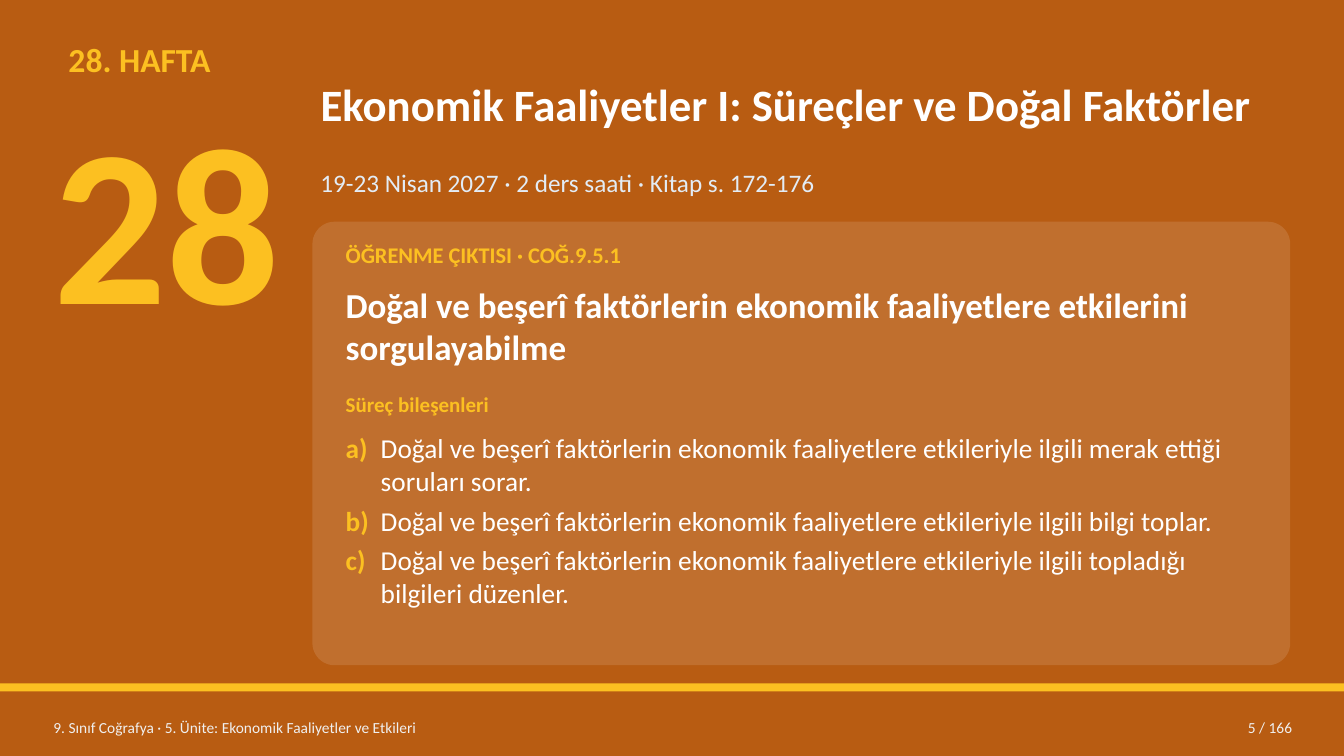
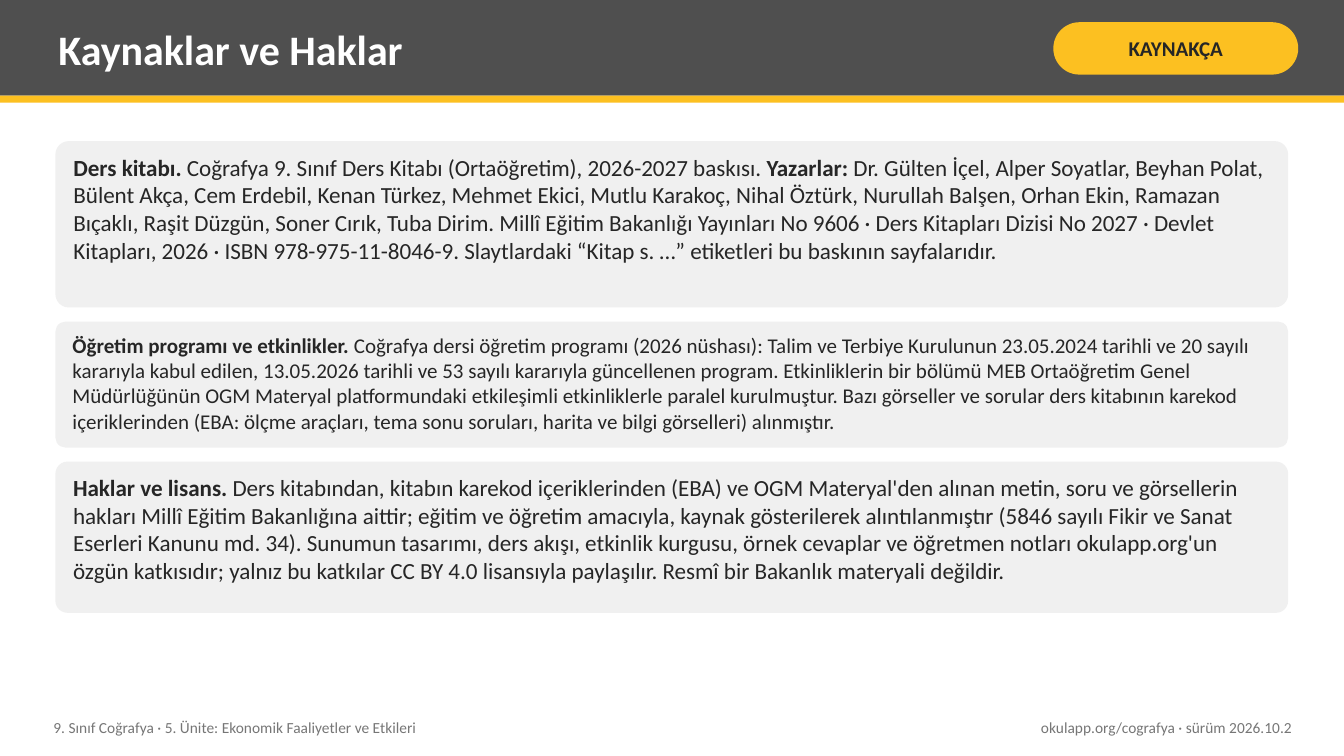
from lxml import etree
from pptx import Presentation
from pptx.dml.color import RGBColor
from pptx.enum.shapes import MSO_SHAPE
from pptx.enum.text import MSO_ANCHOR, MSO_AUTO_SIZE, PP_ALIGN
from pptx.oxml.ns import qn
from pptx.util import Pt

RECT, ROUNDED = MSO_SHAPE.RECTANGLE, MSO_SHAPE.ROUNDED_RECTANGLE
TOP, MIDDLE = MSO_ANCHOR.TOP, MSO_ANCHOR.MIDDLE
LEFT, CENTER, RIGHT = PP_ALIGN.LEFT, PP_ALIGN.CENTER, PP_ALIGN.RIGHT

FONT = "Calibri"
ORANGE, YELLOW, WHITE = "B85C12", "FCC021", "FFFFFF"
CHARCOAL, INK, PALE, MUTED, ICE = "4F4F4F", "262626", "F0F0F0", "767676", "E3ECF5"
WIDTH, HEIGHT = 960, 540
TEXT_INSET = (5.76, 2.88)


def panel(slide, kind, box, fill, corner=None):
    shape = slide.shapes.add_shape(kind, *map(Pt, box))
    shape.shadow.inherit = False
    shape.fill.solid()
    shape.fill.fore_color.rgb = RGBColor.from_string(fill)
    shape.line.fill.background()
    if corner is not None:
        shape.adjustments[0] = corner
    return shape


def write(shape, paragraphs, size, box=None, anchor=TOP, align=LEFT, inset=TEXT_INSET):
    """Fill a shape with paragraphs of (text, colour, bold) runs; a box also moves it to the front."""
    if box:
        shape.left, shape.top, shape.width, shape.height = map(Pt, box)
        shape.element.getparent().append(shape.element)
    frame = shape.text_frame
    frame.word_wrap = True
    frame.auto_size = MSO_AUTO_SIZE.NONE
    frame.vertical_anchor = anchor
    frame.margin_left = frame.margin_right = Pt(inset[0])
    frame.margin_top = frame.margin_bottom = Pt(inset[1])
    for index, runs in enumerate(paragraphs):
        paragraph = frame.add_paragraph() if index else frame.paragraphs[0]
        paragraph.alignment = align
        for text, colour, bold in runs:
            run = paragraph.add_run()
            run.text = text
            run.font.name = FONT
            run.font.size = Pt(size)
            run.font.bold = bold
            run.font.color.rgb = RGBColor.from_string(colour)
    return frame


prs = Presentation()
prs.slide_width, prs.slide_height = Pt(WIDTH), Pt(HEIGHT)

# Week opener
week = prs.slides.add_slide(prs.slide_layouts[1])
week.background.fill.solid()
week.background.fill.fore_color.rgb = RGBColor.from_string(ORANGE)
panel(week, RECT, (0, 488.16, WIDTH, 5.76), YELLOW)
outcome_card = panel(week, ROUNDED, (223.2, 158.4, 698.4, 316.8), WHITE, 0.05)
card_colour = outcome_card.element.spPr.find(qn("a:solidFill")).find(qn("a:srgbClr"))
etree.SubElement(card_colour, qn("a:alpha"), val="12000")

write(week.shapes.title,
      [[("Ekonomik Faaliyetler I: Süreçler ve Doğal Faktörler", WHITE, True)]],
      32, (223.2, 32.4, 698.4, 82.8), MIDDLE)

CARD_X, CARD_W = 241.2, 662.4
for text, size, colour, bold, box, inset in (
    ("28. HAFTA", 24, YELLOW, True, (43.2, 25.2, 187.2, 39.6), TEXT_INSET),
    ("28", 160, YELLOW, True, (32.4, 57.6, 187.2, 198), (5.76, 0)),
    ("19-23 Nisan 2027 · 2 ders saati · Kitap s. 172-176", 18, ICE, False,
     (223.2, 116.64, 698.4, 32.4), TEXT_INSET),
    ("ÖĞRENME ÇIKTISI · COĞ.9.5.1", 16, YELLOW, True,
     (CARD_X, 169.2, CARD_W, 28.8), TEXT_INSET),
    ("Doğal ve beşerî faktörlerin ekonomik faaliyetlere etkilerini sorgulayabilme",
     25, WHITE, True, (CARD_X, 199.44, CARD_W, 68.4), TEXT_INSET),
    ("Süreç bileşenleri", 15, YELLOW, True, (CARD_X, 276.48, CARD_W, 27.36), TEXT_INSET),
):
    write(week.shapes.add_textbox(*map(Pt, box)), [[(text, colour, bold)]], size, inset=inset)

process_steps = (
    ("a)", "merak ettiği soruları sorar."),
    ("b)", "bilgi toplar."),
    ("c)", "topladığı bilgileri düzenler."),
)
STEP_START = "Doğal ve beşerî faktörlerin ekonomik faaliyetlere etkileriyle ilgili "
steps = write(week.placeholders[1],
              [[(letter + "\t", YELLOW, True), (STEP_START + ending, WHITE, False)]
               for letter, ending in process_steps],
              19.5, (CARD_X, 305.28, CARD_W, 160.56))
for step in steps.paragraphs:
    step.space_before = Pt(0)
    step.space_after = Pt(4.9)
    properties = step._p.get_or_add_pPr()
    properties.set("marL", str(Pt(25)))
    properties.set("indent", str(-Pt(25)))
    etree.SubElement(properties, qn("a:buNone"))

# Sources and rights
sources = prs.slides.add_slide(prs.slide_layouts[5])
panel(sources, RECT, (0, 0, WIDTH, 68.4), CHARCOAL)
panel(sources, RECT, (0, 68.4, WIDTH, 5.04), YELLOW)
write(sources.shapes.title, [[("Kaynaklar ve Haklar", WHITE, True)]],
      30, (36, 5.04, 702, 59.04), MIDDLE)
write(panel(sources, ROUNDED, (752.4, 15.84, 174.96, 37.44), YELLOW, 0.5),
      [[("KAYNAKÇA", INK, True)]], 15, anchor=MIDDLE, align=CENTER, inset=(3.6, 1.44))

source_notes = (
    (118.8, 16.5, (
        ("Ders kitabı.", True),
        (" Coğrafya 9. Sınıf Ders Kitabı (Ortaöğretim), 2026-2027 baskısı. ", False),
        ("Yazarlar:", True),
        (" Dr. Gülten İçel, Alper Soyatlar, Beyhan Polat, Bülent Akça, Cem Erdebil, "
         "Kenan Türkez, Mehmet Ekici, Mutlu Karakoç, Nihal Öztürk, Nurullah Balşen, "
         "Orhan Ekin, Ramazan Bıçaklı, Raşit Düzgün, Soner Cırık, Tuba Dirim. "
         "Millî Eğitim Bakanlığı Yayınları No 9606 · Ders Kitapları Dizisi No 2027 · "
         "Devlet Kitapları, 2026 · ISBN 978-975-11-8046-9. Slaytlardaki “Kitap s. …” "
         "etiketleri bu baskının sayfalarıdır.", False))),
    (90, 15, (
        ("Öğretim programı ve etkinlikler.", True),
        (" Coğrafya dersi öğretim programı (2026 nüshası): Talim ve Terbiye Kurulunun "
         "23.05.2024 tarihli ve 20 sayılı kararıyla kabul edilen, 13.05.2026 tarihli ve "
         "53 sayılı kararıyla güncellenen program. Etkinliklerin bir bölümü MEB "
         "Ortaöğretim Genel Müdürlüğünün OGM Materyal platformundaki etkileşimli "
         "etkinliklerle paralel kurulmuştur. Bazı görseller ve sorular ders kitabının "
         "karekod içeriklerinden (EBA: ölçme araçları, tema sonu soruları, harita ve "
         "bilgi görselleri) alınmıştır.", False))),
    (108, 16.5, (
        ("Haklar ve lisans.", True),
        (" Ders kitabından, kitabın karekod içeriklerinden (EBA) ve OGM Materyal'den "
         "alınan metin, soru ve görsellerin hakları Millî Eğitim Bakanlığına aittir; "
         "eğitim ve öğretim amacıyla, kaynak gösterilerek alıntılanmıştır (5846 sayılı "
         "Fikir ve Sanat Eserleri Kanunu md. 34). Sunumun tasarımı, ders akışı, etkinlik "
         "kurgusu, örnek cevaplar ve öğretmen notları okulapp.org'un özgün katkısıdır; "
         "yalnız bu katkılar CC BY 4.0 lisansıyla paylaşılır. Resmî bir Bakanlık "
         "materyali değildir.", False))),
)
NOTE_GAP = 10.08
note_top = 100.8
for note_height, size, runs in source_notes:
    write(panel(sources, ROUNDED, (39.6, note_top, 880.56, note_height), PALE, 0.08),
          [[(text, INK, bold) for text, bold in runs]], size, inset=(10.08, 5.76))
    note_top += note_height + NOTE_GAP

# Footers
UNIT = "9. Sınıf Coğrafya · 5. Ünite: Ekonomik Faaliyetler ve Etkileri"
FOOTER_RIGHT = 928.8
for slide, colour, right_text, right_width in (
    (week, PALE, "5 / 166", 115.2),
    (sources, MUTED, "okulapp.org/cografya · sürüm 2026.10.2", 259.2),
):
    for text, left, width, align in (
        (UNIT, 32.4, 547.2, LEFT),
        (right_text, FOOTER_RIGHT - right_width, right_width, RIGHT),
    ):
        footer = slide.shapes.add_textbox(Pt(left), Pt(506.88), Pt(width), Pt(25.92))
        write(footer, [[(text, colour, False)]], 11, anchor=MIDDLE, align=align)

prs.save("out.pptx")
